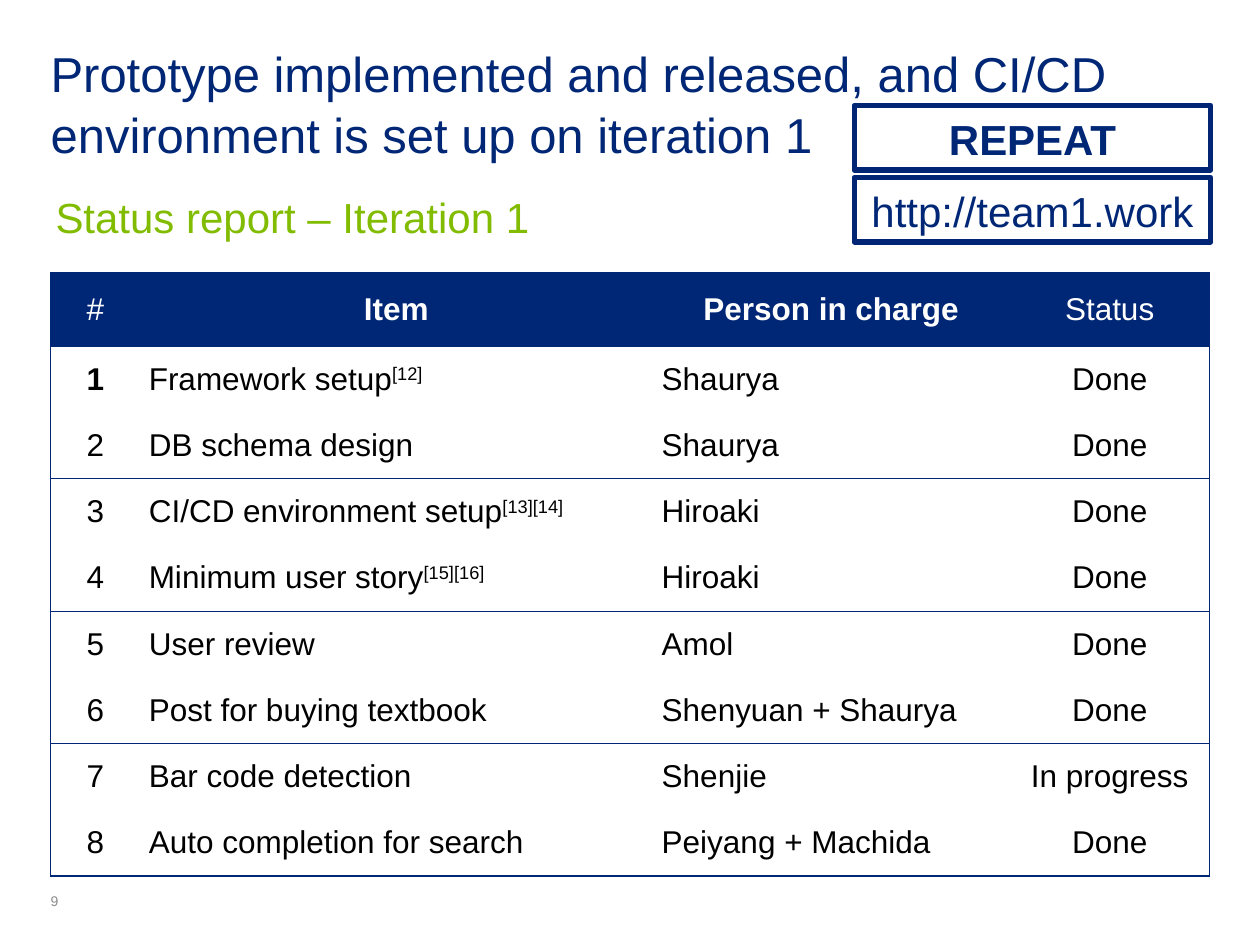
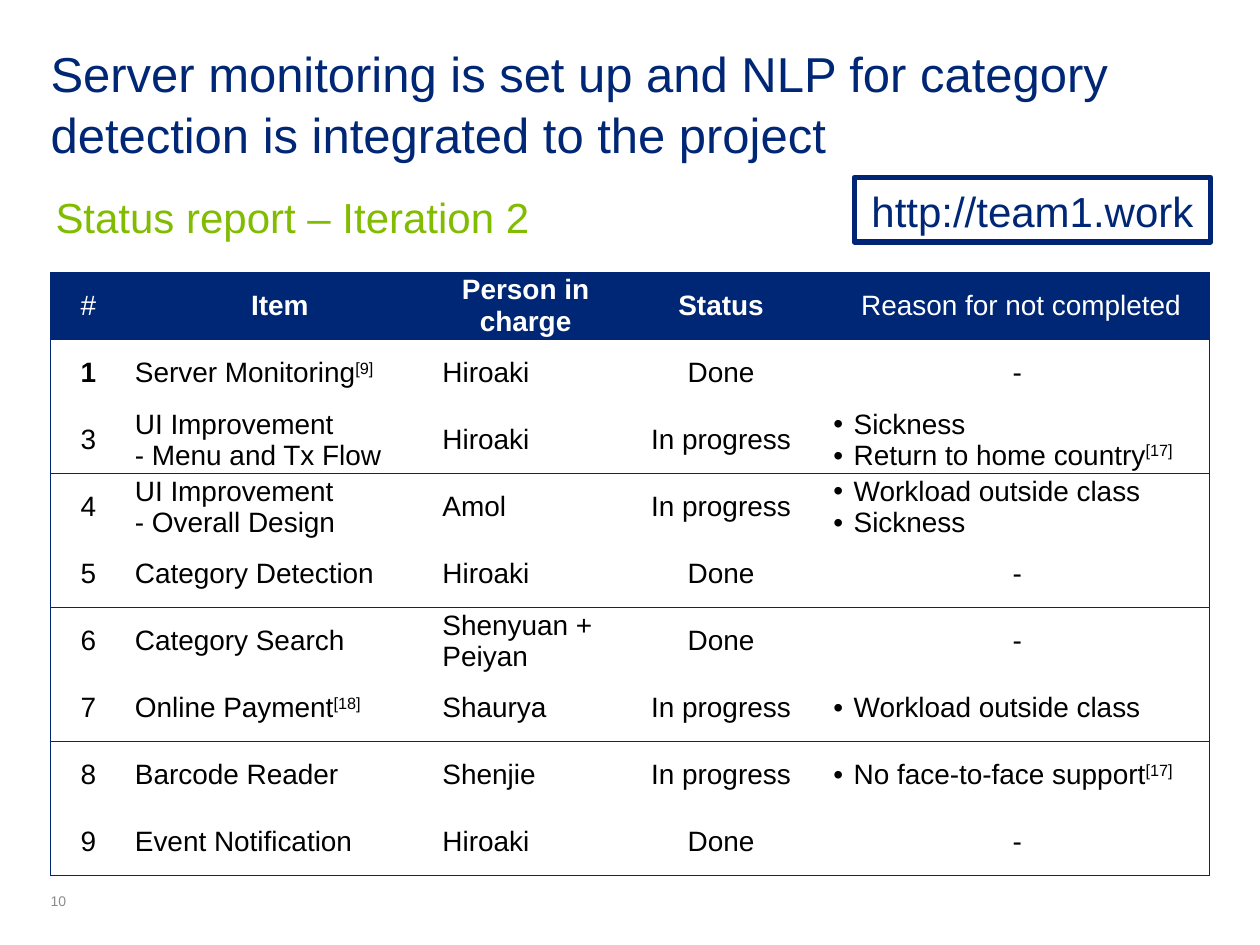
from lxml import etree
from pptx import Presentation
from pptx.dml.color import RGBColor
from pptx.enum.shapes import MSO_SHAPE
from pptx.enum.text import MSO_ANCHOR, MSO_AUTO_SIZE, PP_ALIGN
from pptx.oxml.ns import qn
from pptx.util import Cm, Pt

RECTANGLE = MSO_SHAPE.RECTANGLE
TOP, MIDDLE, BOTTOM = MSO_ANCHOR.TOP, MSO_ANCHOR.MIDDLE, MSO_ANCHOR.BOTTOM
LEFT, CENTER = PP_ALIGN.LEFT, PP_ALIGN.CENTER
NO_AUTOFIT = MSO_AUTO_SIZE.NONE

NAVY = RGBColor(0x00, 0x27, 0x76)
BOX_LINE = RGBColor(0x00, 0x25, 0x75)
GREEN = RGBColor(0x81, 0xBC, 0x01)
GRAY = RGBColor(0x8C, 0x8C, 0x8C)
BLACK = RGBColor(0x00, 0x00, 0x00)
WHITE = RGBColor(0xFF, 0xFF, 0xFF)

FONT = "Arial"
MARGIN = 1.02
CONTENT_WIDTH = 23.37
TABLE_TOP = 5.49
TABLE_HEIGHT = 12.17
CELL_INSET = 0.18
BULLET = "• "
BULLET_INDENT = 0.41
LOOSE = 1.05

ITERATION_1 = [
    ["#", "Item", "Person in charge", "Status"],
    ["1", "Framework setup^[12]", "Shaurya", "Done"],
    ["2", "DB schema design", "Shaurya", "Done"],
    ["3", "CI/CD environment setup^[13][14]", "Hiroaki", "Done"],
    ["4", "Minimum user story^[15][16]", "Hiroaki", "Done"],
    ["5", "User review", "Amol", "Done"],
    ["6", "Post for buying textbook", "Shenyuan + Shaurya", "Done"],
    ["7", "Bar code detection", "Shenjie", "In progress"],
    ["8", "Auto completion for search", "Peiyang + Machida", "Done"],
]

ITERATION_2 = [
    ["#", "Item", "Person in charge", "Status", " Reason for not completed"],
    ["1", "Server Monitoring^[9]", "Hiroaki", "Done", "-"],
    ["3", "UI Improvement\n- Menu and Tx Flow", "Hiroaki", "In progress",
     "• Sickness\n• Return to home country^[17]"],
    ["4", "UI Improvement\n- Overall Design", "Amol", "In progress",
     "• Workload outside class\n• Sickness"],
    ["5", "Category Detection", "Hiroaki", "Done", "-"],
    ["6", "Category Search", "Shenyuan + Peiyan", "Done", "-"],
    ["7", "Online Payment^[18]", "Shaurya", "In progress",
     "• Workload outside class"],
    ["8", "Barcode Reader", "Shenjie", "In progress",
     "• No face-to-face support^[17]"],
    ["9", "Event Notification", "Hiroaki", "Done", "-"],
]


def set_bullet(p):
    pPr = p._p.get_or_add_pPr()
    pPr.set("marL", str(Cm(BULLET_INDENT)))
    pPr.set("indent", str(-Cm(BULLET_INDENT)))
    etree.SubElement(pPr, qn("a:buFont"), typeface=FONT)
    etree.SubElement(pPr, qn("a:buChar"), char=BULLET.strip())


def add_run(p, text, size, color, bold, superscript=False):
    r = p.add_run()
    r.text = text
    r.font.name = FONT
    r.font.size = Pt(size)
    r.font.bold = bold
    r.font.color.rgb = color
    if superscript:
        r._r.get_or_add_rPr().set("baseline", "30000")


def write(tf, text, size=18, color=BLACK, bold=False, align=LEFT, spacing=None):
    for i, line in enumerate(text.split("\n")):
        p = tf.add_paragraph() if i else tf.paragraphs[0]
        p.alignment = align
        if spacing:
            p.line_spacing = spacing
        if line.startswith(BULLET):
            p.alignment = LEFT
            set_bullet(p)
            line = line.removeprefix(BULLET)
        body, _, reference = line.partition("^")
        add_run(p, body, size, color, bold)
        if reference:
            add_run(p, reference, size, color, bold, superscript=True)


def set_frame(tf, anchor=TOP):
    tf.word_wrap = True
    tf.auto_size = NO_AUTOFIT
    tf.vertical_anchor = anchor
    tf.margin_left = tf.margin_right = tf.margin_top = tf.margin_bottom = 0


def place(sp, left, top, width, height):
    sp.left, sp.top, sp.width, sp.height = map(Cm, (left, top, width, height))


def add_label(slide, text, left, top, width, height, anchor=TOP, **fmt):
    sp = slide.shapes.add_textbox(Cm(left), Cm(top), Cm(width), Cm(height))
    set_frame(sp.text_frame, anchor)
    write(sp.text_frame, text, **fmt)


def add_box(slide, text, top, bold=False):
    sp = slide.shapes.add_shape(RECTANGLE, Cm(17.22), Cm(top), Cm(7.19), Cm(1.3))
    sp.shadow.inherit = False
    sp.fill.background()
    sp.line.color.rgb = BOX_LINE
    sp.line.width = Pt(3)
    set_frame(sp.text_frame, MIDDLE)
    write(sp.text_frame, text, size=24, color=NAVY, bold=bold, align=CENTER,
          spacing=LOOSE)


def set_borders(cell, **visible):
    tcPr = cell._tc.get_or_add_tcPr()
    for side in "LRTB":
        ln = etree.SubElement(tcPr, qn(f"a:ln{side}"), w=str(Pt(0.75)))
        if visible[side]:
            fill = etree.SubElement(ln, qn("a:solidFill"))
            etree.SubElement(fill, qn("a:srgbClr"), val=str(NAVY))
        else:
            etree.SubElement(ln, qn("a:noFill"))


def fill_cell(cell, text, row, col, last_col, size):
    set_borders(cell, L=col == 0, R=col == last_col,
                T=row == 0 or row % 2 == 1, B=row % 2 == 0)
    cell.vertical_anchor = MIDDLE
    cell.margin_left = cell.margin_right = Cm(CELL_INSET)
    cell.margin_top = cell.margin_bottom = 0
    if row == 0:
        cell.fill.solid()
        cell.fill.fore_color.rgb = NAVY
        write(cell.text_frame, text, size=size, color=WHITE,
              bold=0 < col < last_col, align=CENTER)
    else:
        cell.fill.background()
        write(cell.text_frame, text, size=size, bold=row == 1 and col == 0,
              align=LEFT if col in (1, 2) else CENTER)


def add_status_table(slide, rows, widths, header_height, size):
    frame = slide.shapes.add_table(
        len(rows), len(widths), Cm(MARGIN), Cm(TABLE_TOP),
        Cm(CONTENT_WIDTH), Cm(TABLE_HEIGHT))
    table = frame.table
    table.first_row = table.horz_banding = False
    for column, width in zip(table.columns, widths):
        column.width = Cm(width)
    body_height = (TABLE_HEIGHT - header_height) / (len(rows) - 1)
    for i, row in enumerate(rows):
        table.rows[i].height = Cm(body_height if i else header_height)
        for j, text in enumerate(row):
            fill_cell(table.cell(i, j), text, i, j, len(row) - 1, size)


def add_status_slide(prs, number, title, subtitle):
    slide = prs.slides.add_slide(prs.slide_layouts[5])
    sp = slide.shapes.title
    place(sp, MARGIN, 0.81, CONTENT_WIDTH, 1.3)
    set_frame(sp.text_frame)
    write(sp.text_frame, title, size=28, color=NAVY, spacing=LOOSE)
    add_label(slide, subtitle, 1.12, 3.81, 15.5, 0.89, size=24, color=GREEN,
              spacing=LOOSE)
    add_label(slide, str(number), MARGIN, 18.01, 1.27, 0.33, anchor=BOTTOM,
              size=8, color=GRAY)
    add_box(slide, "http://team1.work", 3.58)
    return slide


def main():
    prs = Presentation()
    prs.slide_width, prs.slide_height = Cm(25.4), Cm(19.05)

    slide = add_status_slide(
        prs, 9,
        "Prototype implemented and released, and CI/CD environment is set up "
        "on iteration 1",
        "Status report – Iteration 1")
    add_status_table(slide, ITERATION_1, [1.8, 10.34, 7.19, 4.04], 1.49, 18)
    add_box(slide, "REPEAT", 2.13, bold=True)

    slide = add_status_slide(
        prs, 10,
        "Server monitoring is set up and NLP for category detection is "
        "integrated to the project",
        "Status report – Iteration 2")
    add_status_table(slide, ITERATION_2, [1.52, 6.2, 3.71, 4.17, 7.77], 1.35, 16)

    prs.save("out.pptx")


if __name__ == "__main__":
    main()
